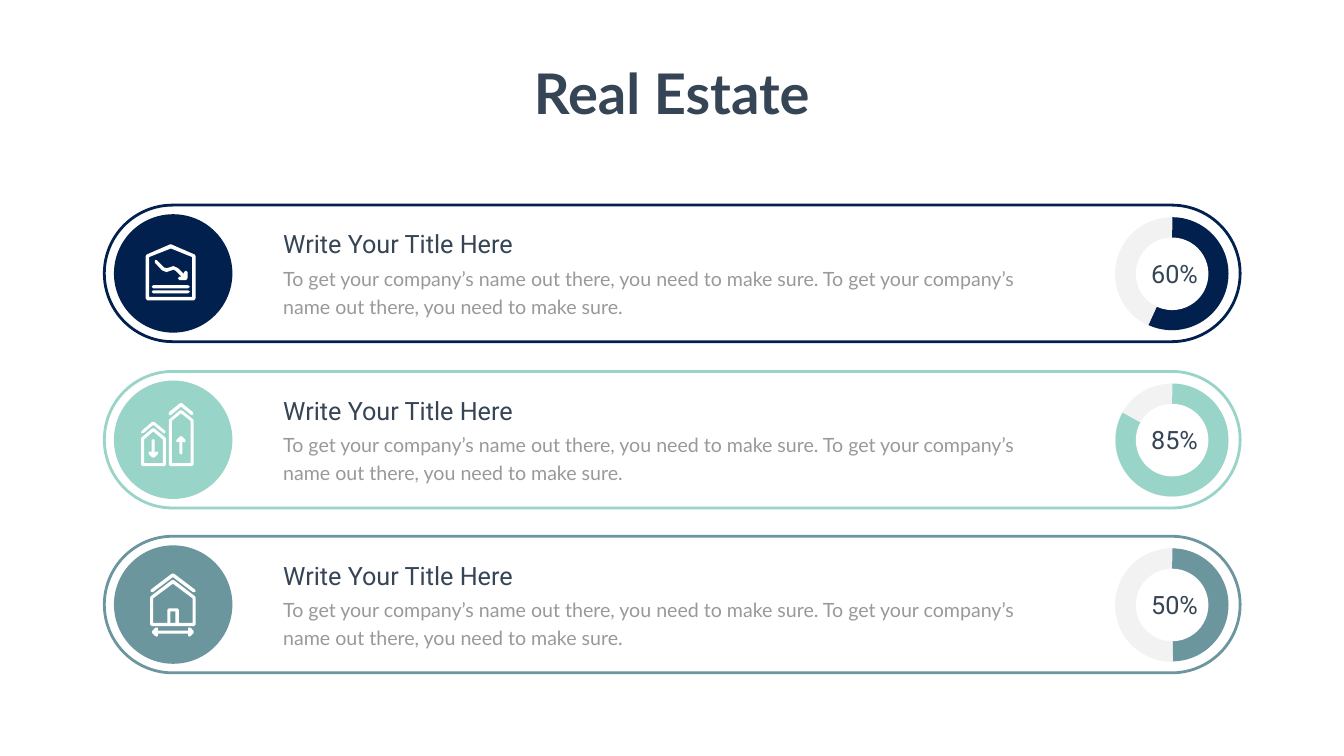
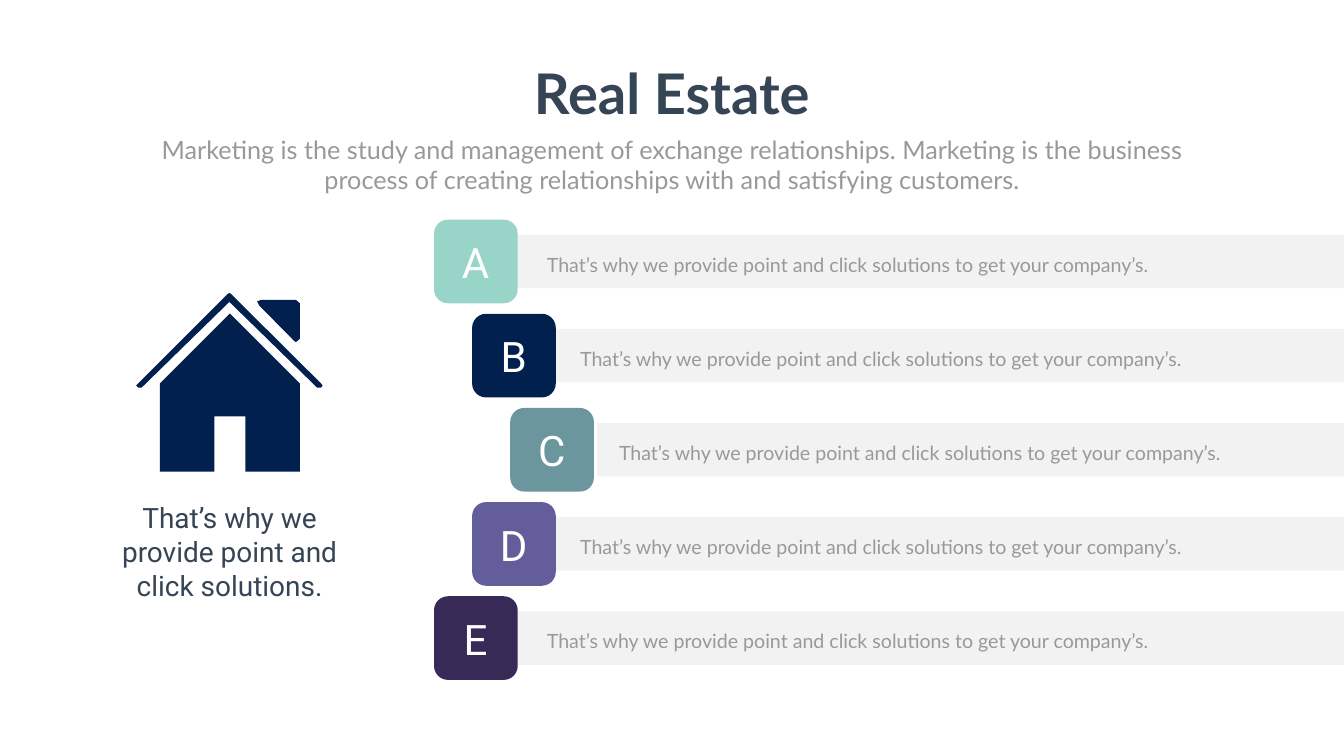
from dataclasses import dataclass

import lxml.etree
import pptx
import pptx.dml.color
import pptx.enum.shapes
import pptx.enum.text
import pptx.oxml.ns
import pptx.util

Pt = pptx.util.Pt
SHAPES = pptx.enum.shapes.MSO_SHAPE
ALIGN = pptx.enum.text.PP_ALIGN

SLIDE_WIDTH = 1919.5
SLIDE_HEIGHT = 1080
GRID_UNIT = 0.72

NAVY = "01204D"
MINT = "98D4C7"
TEAL = "6B969D"
VIOLET = "645D9C"
PLUM = "382A57"
INK = "364556"
MUTED = "999999"
TRACK = "F2F2F2"
GRAY = "808080"
WHITE = "FFFFFF"

HEADING = "Real Estate"
SUBHEADING = (
    "Marketing is the study and management of exchange relationships. "
    "Marketing is the business process of creating relationships with "
    "and satisfying customers."
)
ROW_TITLE = "Write Your Title Here"
ROW_BODY = (
    "To get your company’s name out there, you need to make sure. "
    "To get your company’s name out there, you need to make sure."
)
STEP_BODY = "That’s why we provide point and click solutions to get your company’s."
HOUSE_CAPTION = "That’s why we provide point and click solutions."

Contour = list[tuple[float, float]]
Part = list[Contour]

FALLING_PRICE: list[Part] = [
    [[(100, 106), (85, 91), (81, 91), (81, 96), (95, 111), (104, 115),
      (113, 112), (118, 110), (122, 112), (134, 124), (130, 124), (127, 127),
      (130, 131), (143, 131), (146, 127), (146, 115), (143, 112), (139, 115),
      (139, 119), (127, 107), (118, 103), (109, 106), (105, 107)]],
    [[(75, 144), (78, 147), (147, 147), (151, 144), (147, 141), (78, 141)]],
    [[(75, 154), (78, 157), (147, 157), (151, 154), (147, 151), (78, 151)]],
    [[(155, 164), (70, 164), (70, 85), (113, 68), (155, 85)],
     [(160, 80), (114, 60), (111, 60), (65, 80), (63, 83), (63, 167),
      (66, 171), (159, 171), (162, 167), (162, 83)]],
]

TWO_HOUSES: list[Part] = [
    [[(152, 164), (115, 164), (115, 80), (133, 65), (152, 80)],
     [(157, 77), (135, 59), (131, 59), (110, 77), (109, 79), (109, 167),
      (112, 170), (155, 170), (158, 167), (158, 79)]],
    [[(112, 69), (114, 68), (133, 52), (153, 68), (157, 68), (157, 63),
      (135, 45), (131, 45), (109, 63), (109, 68)]],
    [[(97, 164), (60, 164), (60, 117), (78, 101), (97, 117)],
     [(102, 113), (80, 95), (76, 95), (55, 113), (54, 115), (54, 167),
      (57, 170), (100, 170), (103, 167), (103, 115)]],
    [[(59, 104), (78, 88), (98, 104), (100, 105), (102, 104), (102, 100),
      (80, 82), (76, 82), (55, 100), (54, 104)]],
    [[(75, 119), (75, 143), (74, 141), (69, 141), (69, 146), (75, 152),
      (78, 153), (81, 152), (87, 146), (87, 141), (83, 141), (81, 143),
      (81, 119), (78, 116)]],
    [[(130, 112), (124, 118), (124, 122), (129, 122), (130, 121), (130, 144),
      (133, 147), (136, 144), (136, 121), (138, 122), (140, 123), (142, 122),
      (142, 118), (136, 112), (133, 110)]],
]

HOUSE_WIDTH: list[Part] = [
    [[(156, 154), (129, 154), (129, 128), (126, 125), (109, 125), (106, 128),
      (106, 154), (78, 154), (78, 105), (117, 76), (156, 105)],
     [(122, 154), (112, 154), (112, 131), (122, 131)],
     [(161, 101), (119, 69), (115, 69), (73, 101), (72, 104), (72, 157),
      (75, 160), (159, 160), (162, 157), (162, 104)]],
    [[(77, 93), (117, 63), (157, 93), (159, 93), (162, 92), (161, 88),
      (119, 56), (115, 56), (73, 88), (73, 92)]],
    [[(152, 163), (147, 163), (147, 168), (148, 169), (86, 169), (87, 168),
      (87, 163), (82, 163), (76, 170), (76, 174), (82, 180), (85, 181),
      (87, 180), (87, 176), (86, 175), (148, 175), (147, 176), (147, 180),
      (150, 181), (152, 180), (158, 174), (158, 170)]],
]

BIG_HOUSE: list[Part] = [
    [[(313, 96), (317, 99), (325, 92), (325, 22), (317, 15), (248, 15),
      (240, 18), (244, 26)]],
    [[(47, 181), (47, 356), (155, 356), (155, 246), (217, 246), (217, 356),
      (325, 356), (325, 181), (186, 42)]],
    [[(367, 181), (189, 4), (185, 1), (181, 4), (4, 181), (0, 185), (4, 189),
      (11, 189), (185, 19), (359, 189), (367, 189), (370, 185)]],
]


@dataclass(frozen=True)
class Box:
    left: float
    top: float
    width: float
    height: float

    def emu(self) -> tuple:
        return Pt(self.left), Pt(self.top), Pt(self.width), Pt(self.height)


@dataclass(frozen=True)
class TextStyle:
    font: str
    size: float
    color: str
    align: ALIGN = ALIGN.LEFT
    bold: bool = False
    spacing: float | None = None


@dataclass(frozen=True)
class StatRow:
    top: float
    color: str
    percent: str
    pie_end: float
    icon: list[Part]


@dataclass(frozen=True)
class Step:
    letter: str
    color: str
    indent: int
    text_left: float


HEADING_STYLE = TextStyle("Lato", 80, INK, ALIGN.CENTER, bold=True)
SUBHEADING_STYLE = TextStyle("Lato", 36, MUTED, ALIGN.CENTER)
ROW_TITLE_STYLE = TextStyle("Roboto", 36, INK)
ROW_BODY_STYLE = TextStyle("Lato", 28, MUTED, spacing=40.8)
PERCENT_STYLE = TextStyle("Roboto", 36, INK, ALIGN.CENTER)
STEP_STYLE = TextStyle("Lato", 28, MUTED, spacing=43)
LETTER_STYLE = TextStyle("Roboto", 60, WHITE, ALIGN.CENTER)
CAPTION_STYLE = TextStyle("Roboto", 40, INK, ALIGN.CENTER)

ROWS = [
    StatRow(293, NAVY, "60%", 68.71, FALLING_PRICE),
    StatRow(530.6, MINT, "85%", 125.34, TWO_HOUSES),
    StatRow(766.1, TEAL, "50%", 53.31, HOUSE_WIDTH),
]

STEPS = [
    Step("A", MINT, 0, 774),
    Step("B", NAVY, 1, 821.5),
    Step("C", TEAL, 2, 877),
    Step("D", VIOLET, 1, 821.5),
    Step("E", PLUM, 0, 774),
]
STEP_TOP = 313.8
STEP_PITCH = 134.5


def rgb(value: str) -> pptx.dml.color.RGBColor:
    return pptx.dml.color.RGBColor.from_string(value)


def paint(shape, color: str, alpha: int | None = None) -> None:
    shape.shadow.inherit = False
    shape.line.fill.background()
    shape.fill.solid()
    shape.fill.fore_color.rgb = rgb(color)
    if alpha is not None:
        qn = pptx.oxml.ns.qn
        tint = shape.fill._xPr.find(qn("a:solidFill")).find(qn("a:srgbClr"))
        lxml.etree.SubElement(tint, qn("a:alpha"), val=str(alpha * 1000))


def add_filled(slide, kind: SHAPES, box: Box, color: str, alpha: int | None = None):
    shape = slide.shapes.add_shape(kind, *box.emu())
    paint(shape, color, alpha)
    return shape


def write_text(shape, text: str, style: TextStyle, wrap: bool = True) -> None:
    frame = shape.text_frame
    frame.word_wrap = wrap
    frame.auto_size = pptx.enum.text.MSO_AUTO_SIZE.SHAPE_TO_FIT_TEXT
    frame.vertical_anchor = pptx.enum.text.MSO_ANCHOR.TOP
    paragraph = frame.paragraphs[0]
    paragraph.alignment = style.align
    if style.spacing:
        paragraph.line_spacing = Pt(style.spacing)
    run = paragraph.add_run()
    run.text = text
    run.font.name = style.font
    run.font.size = Pt(style.size)
    run.font.bold = style.bold
    run.font.color.rgb = rgb(style.color)


def add_text(slide, box: Box, text: str, style: TextStyle) -> None:
    write_text(slide.shapes.add_textbox(*box.emu()), text, style)


def add_icon(slide, left: float, top: float, parts: list[Part], color: str) -> None:
    for first, *others in parts:
        outline = slide.shapes.build_freeform(*first[0], scale=Pt(GRID_UNIT))
        outline.add_line_segments(first[1:], close=True)
        for contour in others:
            outline.move_to(*contour[0])
            outline.add_line_segments(contour[1:], close=True)
        paint(outline.convert_to_shape(Pt(left), Pt(top)), color)


def add_titled_slide(deck):
    slide = deck.slides.add_slide(deck.slide_layouts.get_by_name("Title Only"))
    title = slide.shapes.title
    title.left, title.top, title.width, title.height = Box(749.5, 80.6, 420, 104.4).emu()
    write_text(title, HEADING, HEADING_STYLE, wrap=False)
    return slide


def add_donut(slide, row: StatRow) -> None:
    top = row.top + 17.3
    add_filled(slide, SHAPES.OVAL, Box(1592.6, top, 162, 162), TRACK)
    share = add_filled(slide, SHAPES.PIE, Box(1593.2, top, 161.4, 161.4), row.color)
    share.adjustments[0] = 162.19
    share.adjustments[1] = row.pie_end
    add_filled(slide, SHAPES.OVAL, Box(1622.2, top + 29, 103.7, 103.7), WHITE)


def add_stat_row(slide, row: StatRow) -> None:
    add_donut(slide, row)
    pill = slide.shapes.add_shape(
        SHAPES.ROUNDED_RECTANGLE, *Box(149, row.top, 1622.2, 195.1).emu())
    pill.shadow.inherit = False
    pill.adjustments[0] = 0.5
    pill.fill.background()
    pill.line.color.rgb = rgb(row.color)
    pill.line.width = Pt(4)
    badge = Box(162.7, row.top + 13, 169.2, 169.2)
    add_filled(slide, SHAPES.OVAL, badge, row.color)
    add_icon(slide, badge.left, badge.top, row.icon, WHITE)
    add_text(slide, Box(397.4, row.top + 77, 1124.6, 85.7), ROW_BODY, ROW_BODY_STYLE)
    add_text(slide, Box(397.4, row.top + 30.2, 500.4, 51.1), ROW_TITLE, ROW_TITLE_STYLE)
    add_text(slide, Box(1617.8, row.top + 72.2, 119.5, 51.1), row.percent, PERCENT_STYLE)


def add_step(slide, step: Step, top: float) -> None:
    bar_left = 722.2 + 65.2 * step.indent
    tile_left = 619.9 + 54.4 * step.indent
    bar = Box(bar_left, top + 21.6, SLIDE_WIDTH - bar_left, 76.3)
    add_filled(slide, SHAPES.RECTANGLE, bar, GRAY, alpha=10)
    add_filled(slide, SHAPES.ROUNDED_RECTANGLE, Box(tile_left, top, 119.5, 119.5), step.color)
    add_text(slide, Box(step.text_left, top + 34.2, 892.1, 46.1), STEP_BODY, STEP_STYLE)
    add_text(slide, Box(tile_left + 27.4, top + 20.6, 64.1, 79.9), step.letter, LETTER_STYLE)


def main() -> None:
    deck = pptx.Presentation()
    deck.slide_width = Pt(SLIDE_WIDTH)
    deck.slide_height = Pt(SLIDE_HEIGHT)

    stats = add_titled_slide(deck)
    for row in ROWS:
        add_stat_row(stats, row)

    steps = add_titled_slide(deck)
    add_text(steps, Box(210.2, 187.9, 1499, 94.3), SUBHEADING, SUBHEADING_STYLE)
    for index, step in enumerate(STEPS):
        add_step(steps, step, STEP_TOP + index * STEP_PITCH)
    add_icon(steps, 194.4, 417.6, BIG_HOUSE, NAVY)
    add_text(steps, Box(156.2, 712.1, 343.4, 152.6), HOUSE_CAPTION, CAPTION_STYLE)

    deck.save("out.pptx")


if __name__ == "__main__":
    main()
